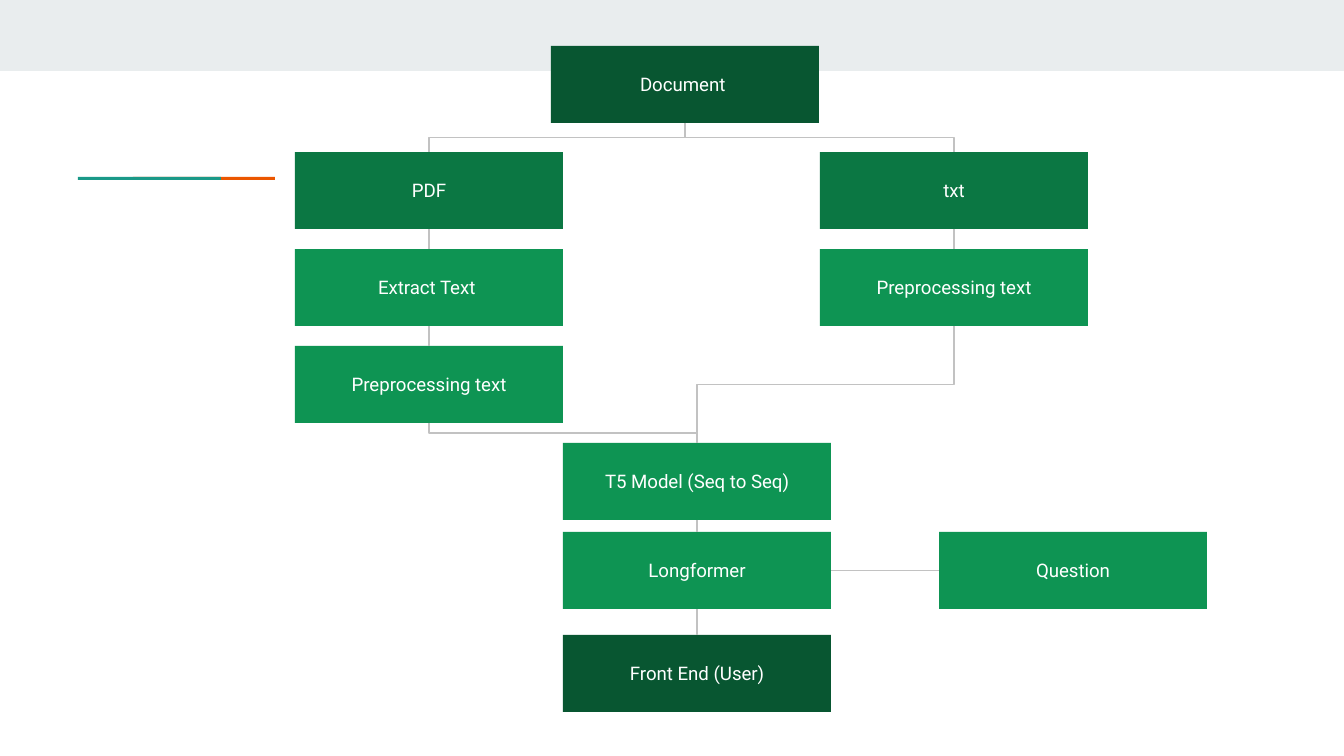
"""Build a flowchart slide of a document question-answering pipeline."""
from typing import NamedTuple

from lxml.etree import SubElement
from pptx import Presentation
from pptx.dml.color import RGBColor
from pptx.enum.shapes import MSO_CONNECTOR, MSO_SHAPE
from pptx.enum.text import MSO_ANCHOR, PP_ALIGN
from pptx.oxml.ns import qn
from pptx.shapes.autoshape import Shape
from pptx.shapes.connector import Connector
from pptx.slide import Slide
from pptx.util import Inches, Pt

EMU_PER_PX = Inches(10) / 1344
BOX_WIDTH, BOX_HEIGHT = 268, 77
PDF_X, MODEL_X, TXT_X, QUESTION_X = 295, 563, 820, 939
ROWS = [152 + 97 * row for row in range(4)]
LONGFORMER_Y = 532
DARK, MEDIUM, LIGHT = "085631", "0B7743", "0E9453"
TOP, LEFT, BOTTOM, RIGHT = range(4)


class Bar(NamedTuple):
    left: int
    top: int
    width: int
    height: int
    color: str


class Step(NamedTuple):
    text: str
    left: int
    top: int
    color: str


class Link(NamedTuple):
    start: str
    end: str
    start_side: int = BOTTOM
    end_side: int = TOP


BARS = [
    Bar(0, 0, 1344, 71, "E9EDEE"),
    Bar(133, 177, 142, 3, "EB5600"),
    Bar(78, 177, 143, 3, "1A9988"),
]
STEPS = {
    "document": Step("Document ", 551, 46, DARK),
    "pdf": Step("PDF", PDF_X, ROWS[0], MEDIUM),
    "txt": Step("txt", TXT_X, ROWS[0], MEDIUM),
    "txt_preprocessing": Step("Preprocessing text", TXT_X, ROWS[1], LIGHT),
    "extraction": Step("Extract Text ", PDF_X, ROWS[1], LIGHT),
    "pdf_preprocessing": Step("Preprocessing text", PDF_X, ROWS[2], LIGHT),
    "t5": Step("T5 Model (Seq to Seq)", MODEL_X, ROWS[3], LIGHT),
    "longformer": Step("Longformer", MODEL_X, LONGFORMER_Y, LIGHT),
    "front_end": Step("Front End (User)", MODEL_X, 635, DARK),
    "question": Step("Question", QUESTION_X, LONGFORMER_Y, LIGHT),
}
STRAIGHT_LINKS = [
    Link("pdf", "extraction"),
    Link("extraction", "pdf_preprocessing"),
    Link("txt", "txt_preprocessing"),
    Link("t5", "longformer"),
    Link("longformer", "front_end"),
    Link("longformer", "question", RIGHT, LEFT),
]
ELBOW_LINKS = [
    Link("document", "pdf"),
    Link("document", "txt"),
    Link("pdf_preprocessing", "t5"),
    Link("txt_preprocessing", "t5"),
]


def px(length: float) -> int:
    """Turn pixels into EMU."""
    return round(length * EMU_PER_PX)


def rgb(color: str) -> RGBColor:
    """Turn a hex string into a colour."""
    return RGBColor.from_string(color)


def draw_bar(slide: Slide, bar: Bar) -> Shape:
    """Draw a plain filled rectangle."""
    shape = slide.shapes.add_shape(
        MSO_SHAPE.RECTANGLE, px(bar.left), px(bar.top), px(bar.width), px(bar.height)
    )
    shape.shadow.inherit = False
    shape.fill.solid()
    shape.fill.fore_color.rgb = rgb(bar.color)
    shape.line.fill.background()
    return shape


def draw_step(slide: Slide, step: Step) -> Shape:
    """Draw a flowchart box with its centred label."""
    shape = draw_bar(slide, Bar(step.left, step.top, BOX_WIDTH, BOX_HEIGHT, step.color))
    frame = shape.text_frame
    frame.text = step.text
    frame.word_wrap = True
    frame.vertical_anchor = MSO_ANCHOR.MIDDLE
    frame.margin_left = frame.margin_right = Inches(0.1)
    frame.margin_top = frame.margin_bottom = Inches(0.1)
    paragraph = frame.paragraphs[0]
    paragraph.alignment = PP_ALIGN.CENTER
    paragraph.font.name = "Roboto"
    paragraph.font.size = Pt(10)
    paragraph.font.color.rgb = rgb("FFFFFF")
    return shape


def style_connector(connector: Connector) -> None:
    """Give a connector a thin grey line without shadow."""
    connector.line.color.rgb = rgb("C2C2C2")
    connector.line.width = Pt(0.75)
    SubElement(connector._element.spPr, qn("a:effectLst"))


def draw_straight(slide: Slide, link: Link, boxes: dict[str, Shape]) -> None:
    """Join the sides of two boxes with a straight line."""
    connector = slide.shapes.add_connector(MSO_CONNECTOR.STRAIGHT, 0, 0, 0, 0)
    connector.begin_connect(boxes[link.start], link.start_side)
    connector.end_connect(boxes[link.end], link.end_side)
    style_connector(connector)


def draw_elbow(slide: Slide, link: Link) -> None:
    """Lead a quarter-turned elbow from a box's bottom down to a box's top."""
    start, end = STEPS[link.start], STEPS[link.end]
    across = end.left - start.left
    down = end.top - start.top - BOX_HEIGHT
    middle_x = (start.left + end.left + BOX_WIDTH) / 2
    middle_y = end.top - down / 2
    connector = slide.shapes.add_connector(
        MSO_CONNECTOR.ELBOW,
        px(middle_x - down / 2),
        px(middle_y + across / 2),
        px(middle_x + down / 2),
        px(middle_y - across / 2),
    )
    connector._element.spPr.find(qn("a:xfrm")).set("rot", str(90 * 60000))
    style_connector(connector)


def main() -> None:
    """Build and save the presentation."""
    presentation = Presentation()
    presentation.slide_width = px(1344)
    presentation.slide_height = px(756)
    slide = presentation.slides.add_slide(presentation.slide_layouts[6])
    for bar in BARS:
        draw_bar(slide, bar)
    boxes = {name: draw_step(slide, step) for name, step in STEPS.items()}
    for link in STRAIGHT_LINKS:
        draw_straight(slide, link, boxes)
    for link in ELBOW_LINKS:
        draw_elbow(slide, link)
    presentation.save("out.pptx")


if __name__ == "__main__":
    main()
